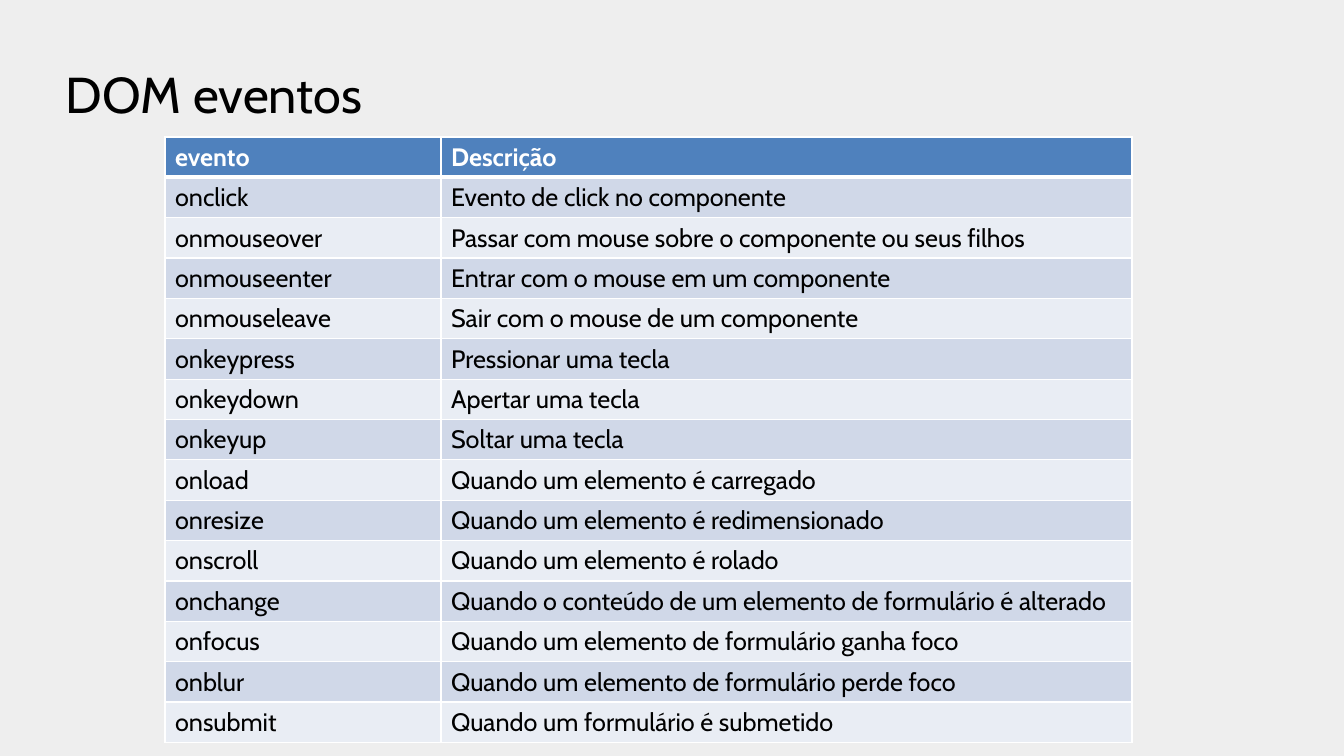
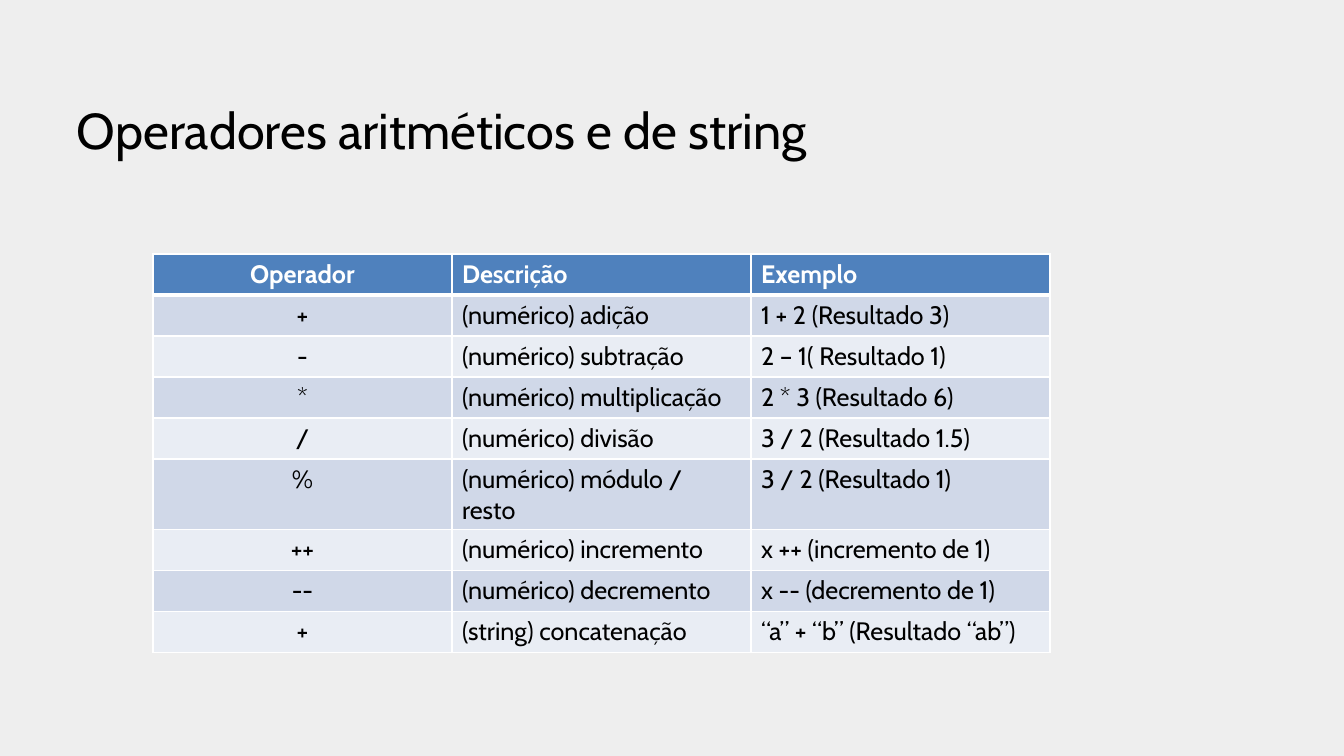
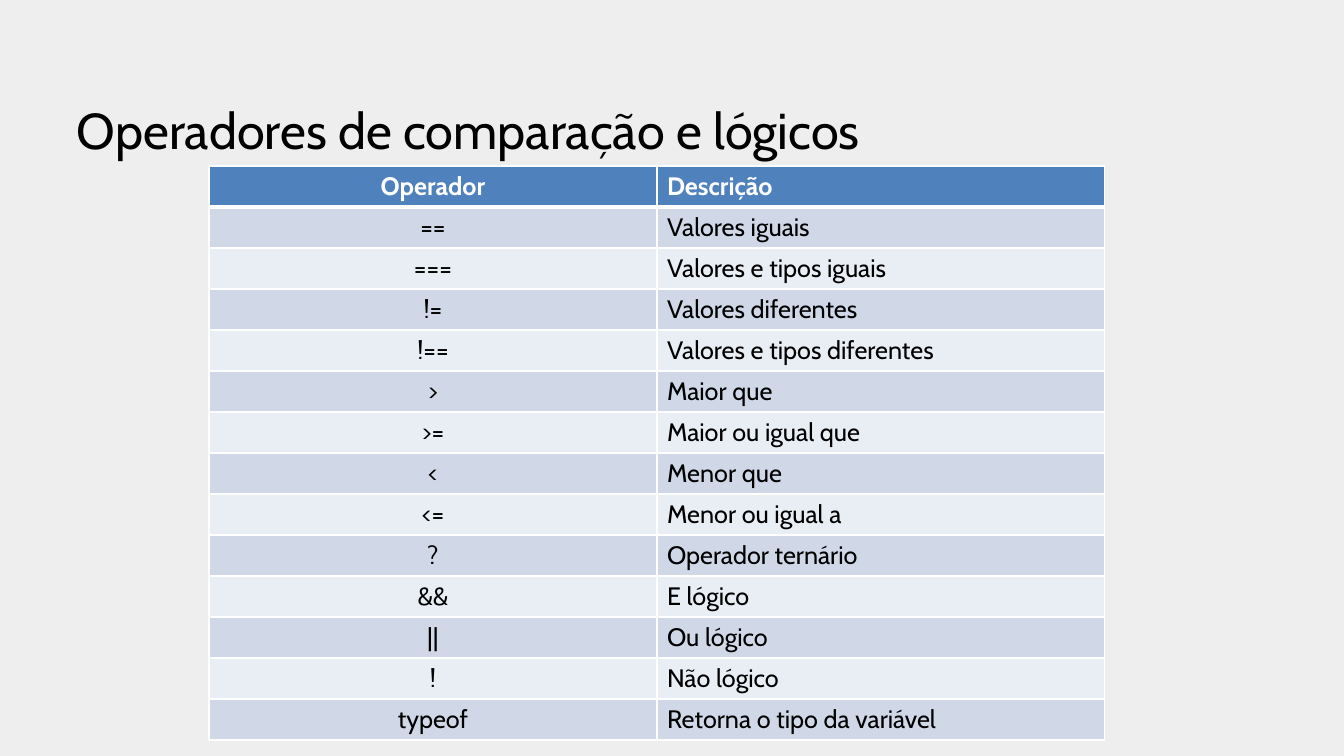
from lxml import etree
from pptx import Presentation
from pptx.dml.color import RGBColor
from pptx.enum import text
from pptx.oxml import ns
from pptx.util import Emu, Pt

EVENTS = [
    ("evento", "Descrição"),
    ("onclick", "Evento de click no componente"),
    ("onmouseover", "Passar com mouse sobre o componente ou seus filhos"),
    ("onmouseenter", "Entrar com o mouse em um componente"),
    ("onmouseleave", "Sair com o mouse de um componente"),
    ("onkeypress", "Pressionar uma tecla"),
    ("onkeydown", "Apertar uma tecla"),
    ("onkeyup", "Soltar uma tecla"),
    ("onload", "Quando um elemento é carregado"),
    ("onresize", "Quando um elemento é redimensionado"),
    ("onscroll", "Quando um elemento é rolado"),
    ("onchange", "Quando o conteúdo de um elemento de formulário é alterado"),
    ("onfocus", "Quando um elemento de formulário ganha foco"),
    ("onblur", "Quando um elemento de formulário perde foco"),
    ("onsubmit", "Quando um formulário é submetido"),
]
MATH = [
    ("Operador", "Descrição", "Exemplo"),
    ("+", "(numérico) adição", "1 + 2 (Resultado 3)"),
    ("-", "(numérico) subtração", "2 – 1( Resultado 1)"),
    ("*", "(numérico) multiplicação", "2 * 3 (Resultado 6)"),
    ("/", "(numérico) divisão", "3 / 2 (Resultado 1.5)"),
    ("%", "(numérico) módulo / resto", "3 / 2 (Resultado 1)"),
    ("++", "(numérico) incremento", "x ++ (incremento de 1)"),
    ("--", "(numérico) decremento", "x -- (decremento de 1)"),
    ("+", "(string) concatenação", "“a” + “b” (Resultado “ab”)"),
]
LOGIC = [
    ("Operador", "Descrição"),
    ("==", "Valores iguais"),
    ("===", "Valores e tipos iguais"),
    ("!=", "Valores diferentes"),
    ("!==", "Valores e tipos diferentes"),
    (">", "Maior que"),
    (">=", "Maior ou igual que"),
    ("<", "Menor que"),
    ("<=", "Menor ou igual a"),
    ("?", "Operador ternário"),
    ("&&", "E lógico"),
    ("||", "Ou lógico"),
    ("!", "Não lógico"),
    ("typeof", "Retorna o tipo da variável"),
]
SLIDES = [
    dict(title="DOM eventos", spot=(56, 3), rows=EVENTS, left=165, top=137,
         widths=[276, 691], height=36, centred=False),
    dict(title="Operadores aritméticos e de string", spot=(67, 39), rows=MATH,
         left=153, top=254, widths=[299] * 3, height=41, centred=True),
    dict(title="Operadores de comparação e lógicos", spot=(67, 39), rows=LOGIC,
         left=209, top=166, widths=[448] * 2, height=41, centred=True),
]

FONT = "Cabin"
BACK = RGBColor(0xEE, 0xEE, 0xEE)
BLACK = RGBColor(0, 0, 0)
WHITE = RGBColor(0xFF, 0xFF, 0xFF)
BLUE = RGBColor(0x4F, 0x81, 0xBD)
BANDS = [RGBColor(0xE9, 0xED, 0xF4), RGBColor(0xD0, 0xD8, 0xE8)]


def px(n):
    return Emu(round(n * 914400 / 100.8))


def style(frame, size, color, bold=False):
    for run in frame.paragraphs[0].runs:
        font = run.font
        font.name, font.size, font.bold = FONT, Pt(size), bold
        font.color.rgb = color


def add_title(slide, title, spot):
    frame = slide.shapes.add_textbox(*map(px, (*spot, 1210, 126))).text_frame
    frame.word_wrap = True
    frame.vertical_anchor = text.MSO_ANCHOR.BOTTOM
    frame.text = title
    style(frame, 36, BLACK)


def add_borders(cell, row):
    props = cell._tc.get_or_add_tcPr()
    widths = dict(L=1, R=1, T=3 if row == 1 else 1, B=3 if row == 0 else 1)
    for side, width in widths.items():
        line = etree.SubElement(props, ns.qn("a:ln" + side), w=str(Pt(width)))
        fill = etree.SubElement(line, ns.qn("a:solidFill"))
        etree.SubElement(fill, ns.qn("a:srgbClr"), val=str(WHITE))


def add_grid(slide, rows, left, top, widths, height, centred):
    box = map(px, (left, top, sum(widths), height * len(rows)))
    table = slide.shapes.add_table(len(rows), len(widths), *box).table
    table.horz_banding = False
    for column, width in zip(table.columns, widths):
        column.width = px(width)
    for r, words in enumerate(rows):
        table.rows[r].height = px(height)
        head = r == 0
        for c, word in enumerate(words):
            cell = table.cell(r, c)
            cell.text_frame.text = word
            style(cell.text_frame, 18, WHITE if head else BLACK, head)
            if centred and c == 0:
                cell.text_frame.paragraphs[0].alignment = text.PP_ALIGN.CENTER
            add_borders(cell, r)
            cell.fill.solid()
            cell.fill.fore_color.rgb = BLUE if head else BANDS[r % 2]


deck = Presentation()
deck.slide_width, deck.slide_height = px(1344), px(756)
back = deck.slide_master.background.fill
back.solid()
back.fore_color.rgb = BACK
for page in SLIDES:
    slide = deck.slides.add_slide(deck.slide_layouts[6])
    add_title(slide, page["title"], page["spot"])
    add_grid(slide, *(page[key] for key in
                      ("rows", "left", "top", "widths", "height", "centred")))
deck.save("out.pptx")
